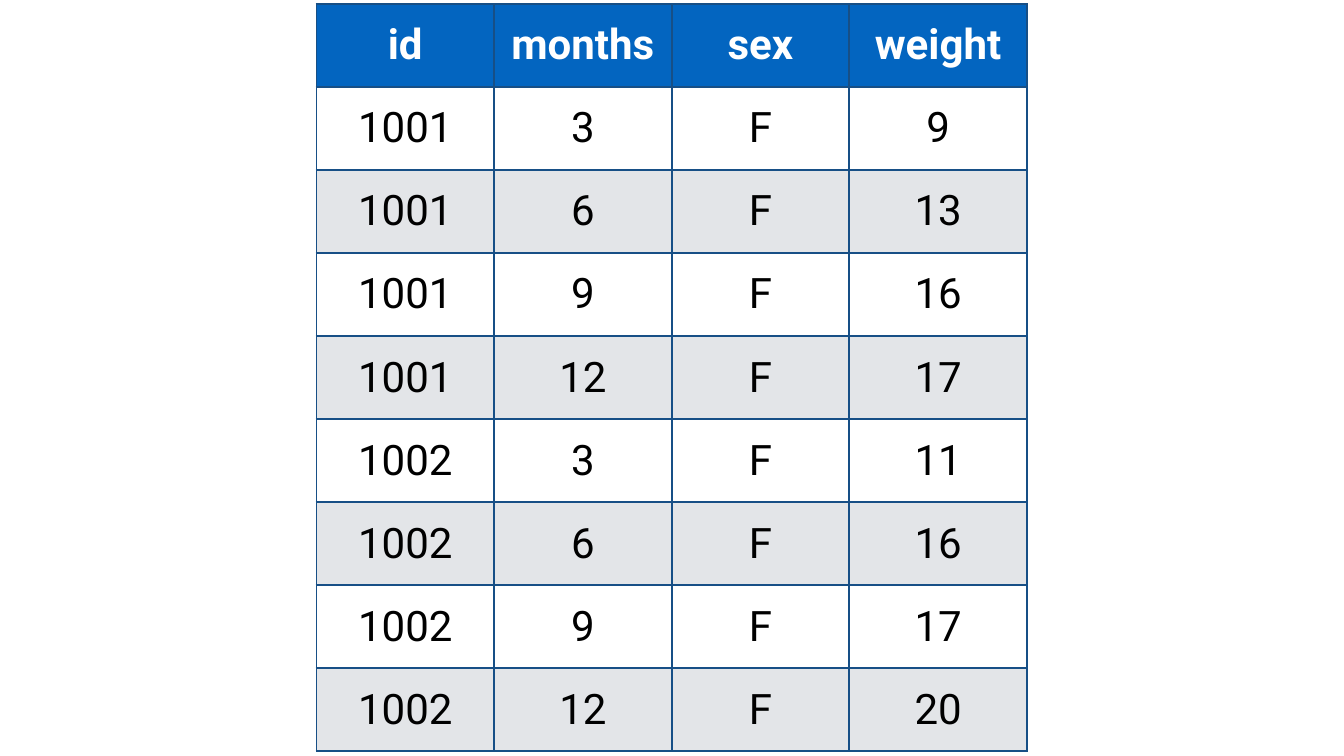
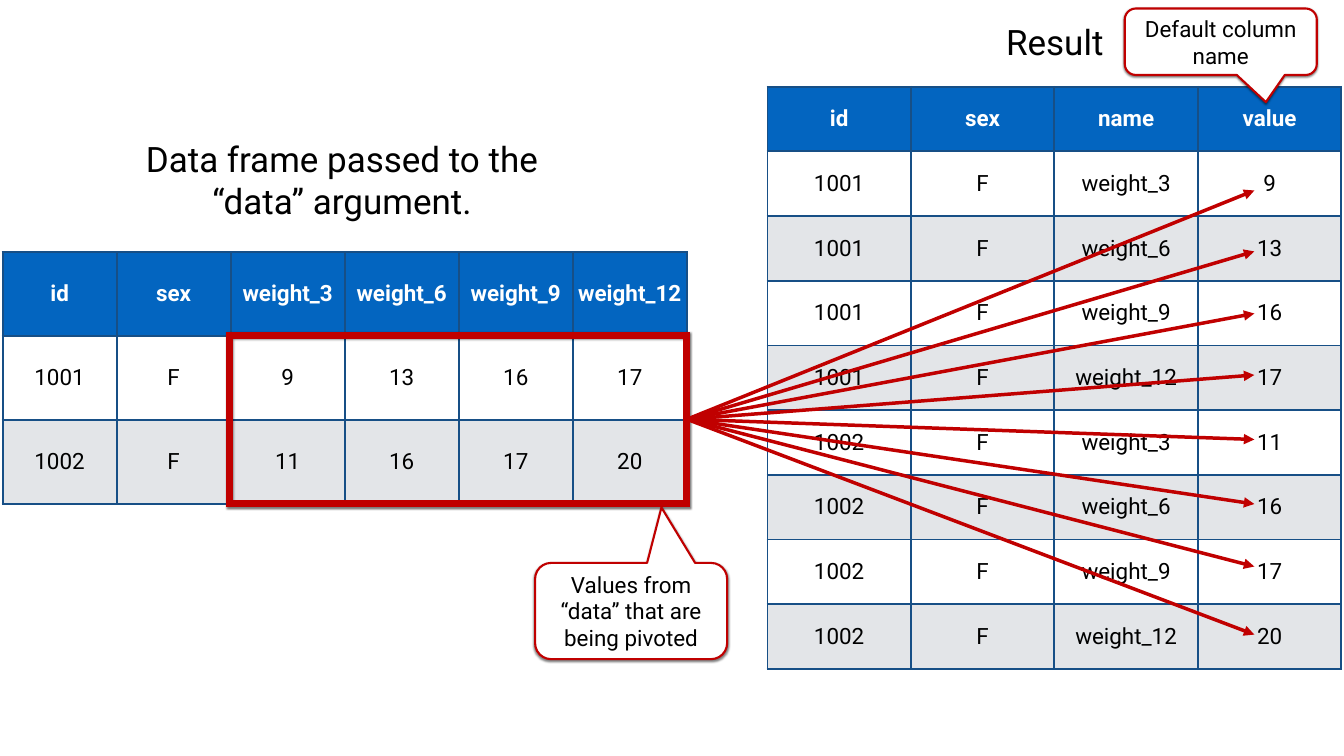
from dataclasses import dataclass

from lxml.etree import SubElement
from pptx import Presentation
from pptx.dml.color import RGBColor
from pptx.enum.shapes import MSO_CONNECTOR, MSO_SHAPE
from pptx.enum.text import MSO_ANCHOR, MSO_AUTO_SIZE, PP_ALIGN
from pptx.oxml import parse_xml
from pptx.oxml.ns import nsdecls, qn
from pptx.util import Cm, Pt

BLUE = RGBColor(0x03, 0x65, 0xC0)
BORDER = RGBColor(0x17, 0x4F, 0x86)
RED = RGBColor(0xC0, 0x00, 0x00)
GREY = RGBColor(0xE3, 0xE5, 0xE8)
WHITE = RGBColor(0xFF, 0xFF, 0xFF)
BLACK = RGBColor(0x00, 0x00, 0x00)

FONT = "Roboto"
INSET = Cm(0.14)
CALLOUT_SIZE = 32
CAPTION_SIZE = 50

SEX = "F"
MONTHS = (3, 6, 9, 12)
WEIGHTS = {1001: (9, 13, 16, 17), 1002: (11, 16, 17, 20)}
WEIGHT_NAMES = [f"weight_{month}" for month in MONTHS]


@dataclass
class Box:
    left: float
    top: float
    width: float
    height: float

    def lengths(self):
        return Cm(self.left), Cm(self.top), Cm(self.width), Cm(self.height)


@dataclass
class Table:
    box: Box
    size: int
    rows: list


@dataclass
class Caption:
    idx: int
    box: Box
    text: str


@dataclass
class Callout:
    box: Box
    tip: tuple
    text: str


MONTHLY_TABLE = Table(
    Box(15.95, 0.2, 35.81, 37.67), 60,
    [("id", "months", "sex", "weight")]
    + [(child, month, SEX, weight) for child, weights in WEIGHTS.items()
       for month, weight in zip(MONTHS, weights)])
WIDE_TABLE = Table(
    Box(0.13, 12.7, 34.49, 12.7), 32,
    [("id", "sex", *WEIGHT_NAMES)]
    + [(child, SEX, *weights) for child, weights in WEIGHTS.items()])
RESULT_TABLE = Table(
    Box(38.68, 4.37, 28.93, 29.34), 32,
    [("id", "sex", "name", "value")]
    + [(child, SEX, name, weight) for child, weights in WEIGHTS.items()
       for name, weight in zip(WEIGHT_NAMES, weights)])

CAPTIONS = [
    Caption(1, Box(6.02, 6.76, 22.45, 4.57), "Data frame passed to the “data” argument."),
    Caption(3, Box(41.94, 0.89, 22.45, 2.41), "Result"),
]
PIVOT_FRAME = Box(11.58, 16.89, 23.04, 8.51)
PIVOT_CALLOUT = Callout(Box(26.97, 28.37, 9.68, 4.85), (0.158, -1.076),
                        "Values from “data” that are being pivoted")
NAME_CALLOUT = Callout(Box(56.69, 0.43, 9.68, 3.35), (0.235, 0.908), "Default column name")
ARROW_START = (34.62, 21.13)
ARROW_END_X = 63.22
ARROW_END_YS = (9.6, 12.67, 15.8, 18.9, 22.15, 25.4, 28.55, 31.98)


def write(tf, text: str, size: int, color: RGBColor = BLACK, bold: bool = False) -> None:
    p = tf.paragraphs[0]
    p.alignment = PP_ALIGN.CENTER
    p.space_before = Pt(0)
    r = p.add_run()
    r.text = text
    r.font.name = FONT
    r.font.size = Pt(size)
    r.font.bold = bold
    r.font.color.rgb = color


def set_frame(tf) -> None:
    tf.word_wrap = True
    tf.auto_size = MSO_AUTO_SIZE.SHAPE_TO_FIT_TEXT
    tf.vertical_anchor = MSO_ANCHOR.MIDDLE
    tf.margin_left = tf.margin_right = tf.margin_top = tf.margin_bottom = INSET


def add_borders(cell) -> None:
    tc_pr = cell._tc.get_or_add_tcPr()
    for i, side in enumerate(("lnL", "lnR", "lnT", "lnB")):
        tc_pr.insert(i, parse_xml(
            f'<a:{side} {nsdecls("a")} w="{Pt(3)}"><a:solidFill>'
            f'<a:srgbClr val="{BORDER}"/></a:solidFill></a:{side}>'))


def draw_table(slide, spec: Table) -> None:
    table = slide.shapes.add_table(
        len(spec.rows), len(spec.rows[0]), *spec.box.lengths()).table
    for i, row in enumerate(spec.rows):
        header = i == 0
        fill = BLUE if header else WHITE if i % 2 else GREY
        for j, value in enumerate(row):
            cell = table.cell(i, j)
            cell.fill.solid()
            cell.fill.fore_color.rgb = fill
            cell.vertical_anchor = MSO_ANCHOR.MIDDLE
            cell.margin_left = cell.margin_right = INSET
            cell.margin_top = cell.margin_bottom = INSET
            add_borders(cell)
            write(cell.text_frame, str(value), spec.size, WHITE if header else BLACK, header)


def draw_captions(slide, captions: list) -> None:
    by_idx = {caption.idx: caption for caption in captions}
    for ph in list(slide.placeholders):
        caption = by_idx.get(ph.placeholder_format.idx)
        if caption is None:
            ph.element.getparent().remove(ph.element)
            continue
        ph.left, ph.top, ph.width, ph.height = caption.box.lengths()
        set_frame(ph.text_frame)
        write(ph.text_frame, caption.text, CAPTION_SIZE)


def draw_red_shape(slide, kind: MSO_SHAPE, box: Box, weight: float):
    sp = slide.shapes.add_shape(kind, *box.lengths())
    sp.line.color.rgb = RED
    sp.line.width = Pt(weight)
    sp.shadow.inherit = False
    effects = sp._element.spPr.find(qn("a:effectLst"))
    effects.append(parse_xml(
        f'<a:outerShdw {nsdecls("a")} blurRad="{Pt(3)}" dist="{Pt(2)}" dir="5400000" '
        'rotWithShape="0"><a:srgbClr val="000000"><a:alpha val="50000"/></a:srgbClr>'
        '</a:outerShdw>'))
    return sp


def draw_pivot_frame(slide) -> None:
    sp = draw_red_shape(slide, MSO_SHAPE.RECTANGLE, PIVOT_FRAME, 10)
    sp.fill.background()
    SubElement(sp.line._get_or_add_ln(), qn("a:miter"), lim="800000")


def draw_callout(slide, callout: Callout) -> None:
    sp = draw_red_shape(slide, MSO_SHAPE.ROUNDED_RECTANGULAR_CALLOUT, callout.box, 3)
    sp.adjustments[0], sp.adjustments[1] = callout.tip
    sp.fill.solid()
    sp.fill.fore_color.rgb = WHITE
    set_frame(sp.text_frame)
    write(sp.text_frame, callout.text, CALLOUT_SIZE)


def draw_arrow(slide, end_y: float) -> None:
    line = slide.shapes.add_connector(
        MSO_CONNECTOR.STRAIGHT, *map(Cm, (*ARROW_START, ARROW_END_X, end_y)))
    line.line.color.rgb = RED
    line.line.width = Pt(5)
    SubElement(line.line._get_or_add_ln(), qn("a:tailEnd"), type="triangle")
    SubElement(line._element.spPr, qn("a:effectLst"))


def main() -> None:
    prs = Presentation()
    prs.slide_width, prs.slide_height = Cm(67.74), Cm(38.1)
    blank = prs.slide_layouts.get_by_name("Blank")
    comparison = prs.slide_layouts.get_by_name("Comparison")

    draw_table(prs.slides.add_slide(blank), MONTHLY_TABLE)

    slide = prs.slides.add_slide(comparison)
    draw_captions(slide, CAPTIONS)
    draw_table(slide, WIDE_TABLE)
    draw_table(slide, RESULT_TABLE)
    draw_pivot_frame(slide)
    draw_callout(slide, PIVOT_CALLOUT)
    for end_y in ARROW_END_YS:
        draw_arrow(slide, end_y)
    draw_callout(slide, NAME_CALLOUT)

    prs.save("out.pptx")


if __name__ == "__main__":
    main()
